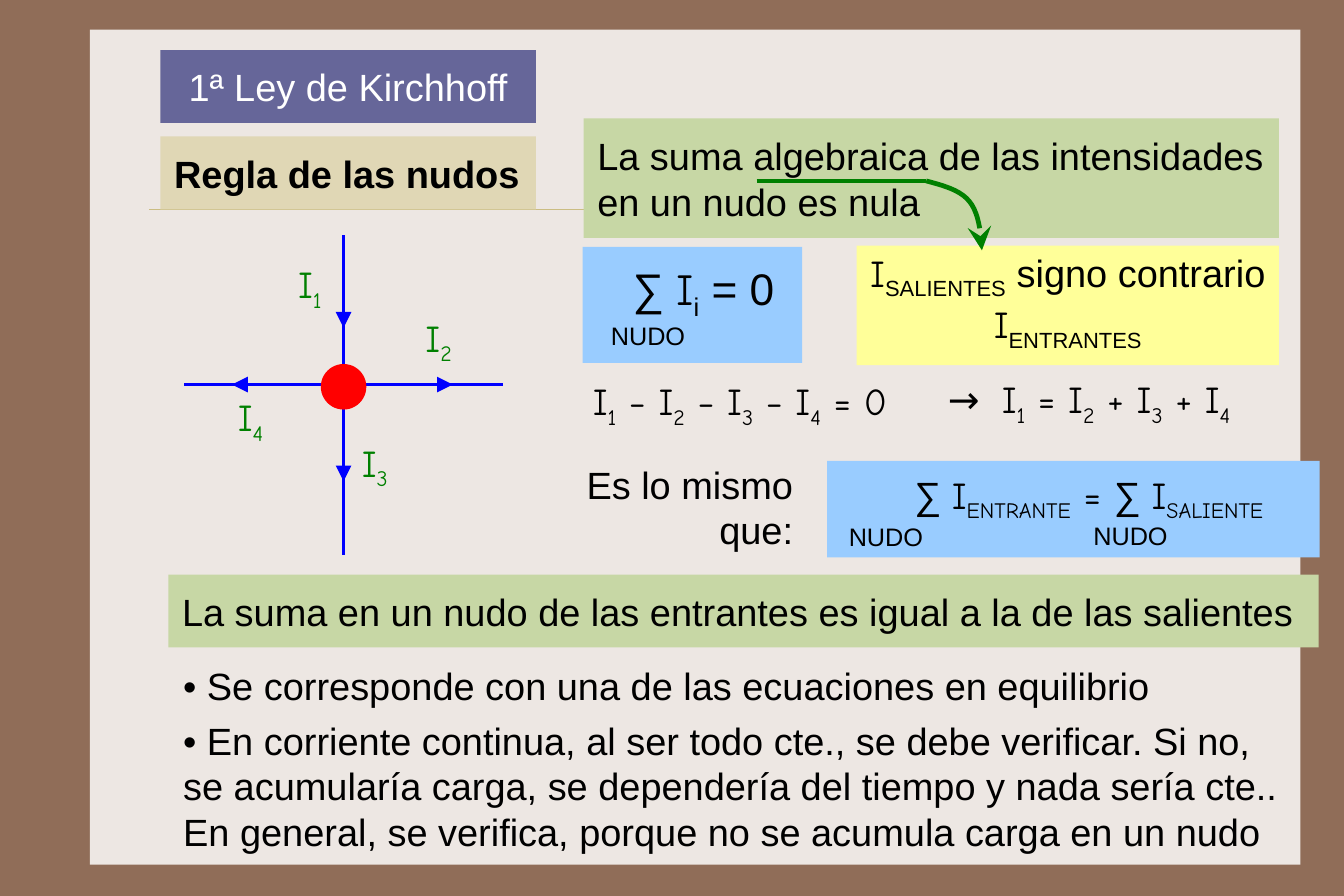
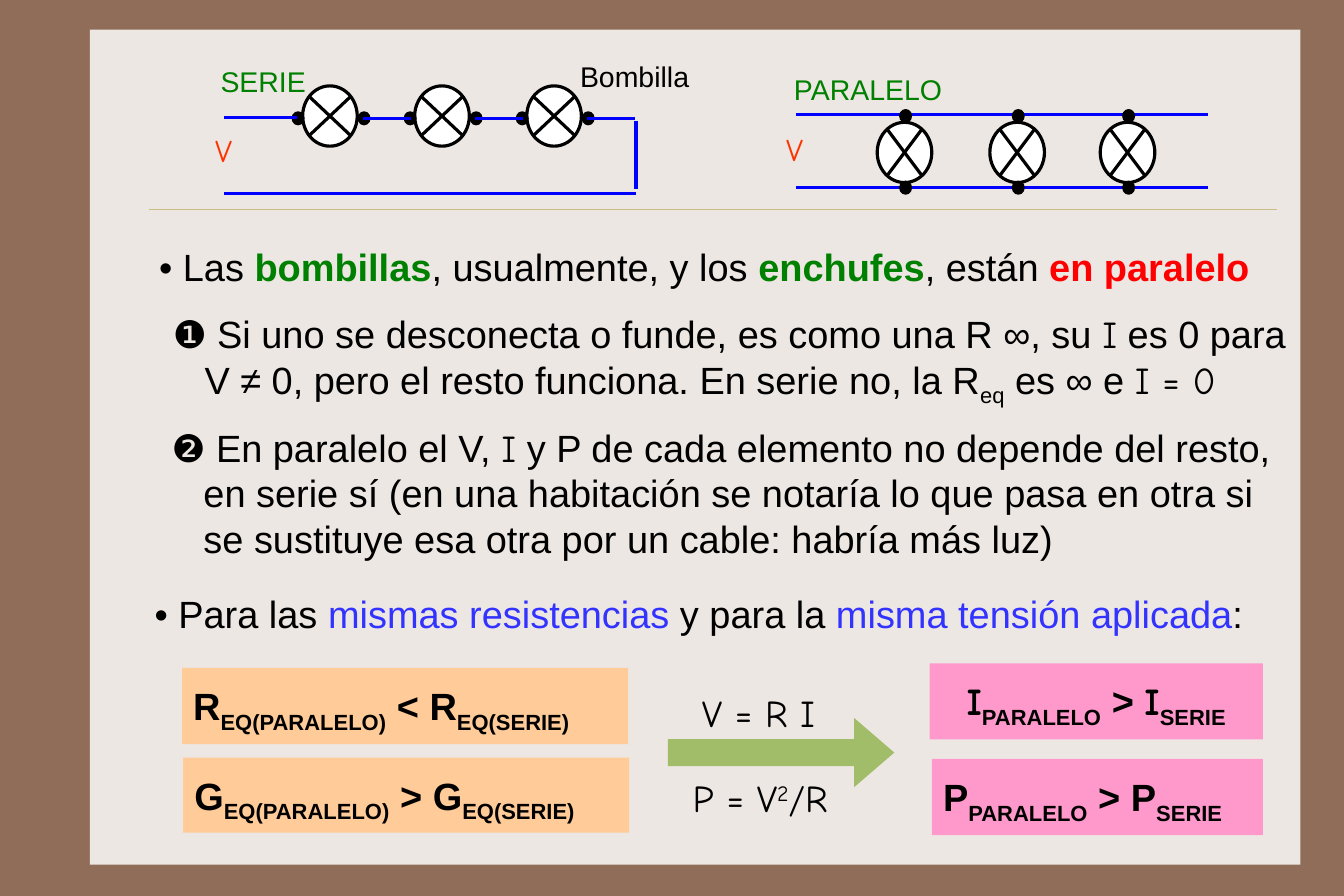
from dataclasses import dataclass
from typing import NamedTuple

from lxml.etree import SubElement
from pptx import Presentation
from pptx.dml.color import RGBColor
from pptx.enum.shapes import MSO_CONNECTOR, MSO_SHAPE
from pptx.enum.text import MSO_ANCHOR as Anchor, PP_ALIGN as Align
from pptx.oxml.ns import qn
from pptx.util import Inches, Pt

BROWN = RGBColor(0x90, 0x6D, 0x58)
PAPER = RGBColor(0xED, 0xE7, 0xE3)
RULE = RGBColor(0xCB, 0xBD, 0x83)
SAND = RGBColor(0xE0, 0xD7, 0xB5)
PURPLE = RGBColor(0x66, 0x66, 0x99)
SAGE = RGBColor(0xC7, 0xD7, 0xA5)
LEAF = RGBColor(0xA1, 0xBD, 0x69)
YELLOW = RGBColor(0xFF, 0xFF, 0x99)
SKY = RGBColor(0x99, 0xCC, 0xFF)
PEACH = RGBColor(0xFF, 0xCC, 0x99)
PINK = RGBColor(0xFF, 0x99, 0xCC)
GREEN = RGBColor(0x00, 0x80, 0x00)
RED = RGBColor(0xFF, 0x00, 0x00)
ORANGE = RGBColor(0xFF, 0x33, 0x00)
BLUE = RGBColor(0x00, 0x00, 0xFF)
INDIGO = RGBColor(0x33, 0x33, 0xFF)
BLACK = RGBColor(0x00, 0x00, 0x00)
WHITE = RGBColor(0xFF, 0xFF, 0xFF)

SLIDE_WIDTH, SLIDE_HEIGHT = Inches(189 / 16), Inches(63 / 8)
SANS = "Arial"
COMIC = "Comic Neue"
SUB, SUPER = -25, 30
LAW_INSETS = (0.12, 0.12, 0.12, 0.12)
NOTE_INSETS = (0.1, 0.09, 0.1, 0.09)
RATIO_INSETS = (0.1, 0.13, 0.1, 0.13)
VOLT_INSETS = (0.08, 0.04, 0.08, 0.04)


class Run(NamedTuple):
    text: str
    color: RGBColor = BLACK
    font: str = SANS
    bold: bool = False
    base: int = 0
    spacing: int = 0


@dataclass
class Box:
    left: float
    top: float
    width: float
    height: float
    runs: list[Run]
    fill: RGBColor | None = None
    size: int = 24
    align: Align = Align.LEFT
    wrap: bool = True
    insets: tuple[float, float, float, float] = LAW_INSETS
    anchor: Anchor = Anchor.MIDDLE
    hanging: float = 0


class Current(NamedTuple):
    """A branch of the node: direction, arrow distances and label corner."""
    number: str
    dx: int
    dy: int
    start: float
    end: float
    label_left: float
    label_top: float


def symbols(*parts: str, color: RGBColor = BLACK) -> list[Run]:
    """Comic runs, with every second one as a subscript."""
    return [Run(part, color, COMIC, base=SUB * (i % 2)) for i, part in enumerate(parts)]


def bold_ratio(*parts: str) -> list[Run]:
    """Bold runs with the long ones as subscripts; a current I is comic."""
    return [Run(part, font=COMIC if part == "I" else SANS, bold=True,
                base=SUB if len(part) > 4 else 0) for part in parts]


def add_preset(slide, kind, left, top, width, height, fill, outline=None, weight=1):
    shape = slide.shapes.add_shape(
        kind, Inches(left), Inches(top), Inches(width), Inches(height))
    shape.shadow.inherit = False
    shape.fill.solid()
    shape.fill.fore_color.rgb = fill
    if outline is None:
        shape.line.fill.background()
    else:
        shape.line.color.rgb = outline
        shape.line.width = Pt(weight)
    return shape


def add_arrowhead(shape, kind: str) -> None:
    SubElement(shape.element.spPr.find(qn("a:ln")), qn("a:tailEnd"),
               type=kind, w="lg", len="lg")


def add_line(slide, x1: float, y1: float, x2: float, y2: float,
             color: RGBColor = BLUE, weight: float = 2, head: str = "") -> None:
    line = slide.shapes.add_connector(
        MSO_CONNECTOR.STRAIGHT, Inches(x1), Inches(y1), Inches(x2), Inches(y2))
    line.line.color.rgb = color
    line.line.width = Pt(weight)
    if head:
        add_arrowhead(line, head)
    SubElement(line.element.spPr, qn("a:effectLst"))


def add_box(slide, box: Box) -> None:
    place = (box.left, box.top, box.width, box.height)
    if box.fill is None:
        shape = slide.shapes.add_textbox(*map(Inches, place))
    else:
        shape = add_preset(slide, MSO_SHAPE.RECTANGLE, *place, box.fill)
    frame = shape.text_frame
    left, top, right, bottom = map(Inches, box.insets)
    frame_format = {"word_wrap": box.wrap, "vertical_anchor": box.anchor,
                    "margin_left": left, "margin_top": top,
                    "margin_right": right, "margin_bottom": bottom}
    for name, value in frame_format.items():
        setattr(frame, name, value)
    paragraph = frame.paragraphs[0]
    paragraph.alignment = box.align
    if box.hanging:
        properties = paragraph._p.get_or_add_pPr()
        properties.set("marL", str(Inches(box.hanging)))
        properties.set("indent", str(-Inches(box.hanging)))
    for part in box.runs:
        run = paragraph.add_run()
        run.text = part.text
        font_format = {"name": part.font, "size": Pt(box.size), "bold": part.bold}
        for name, value in font_format.items():
            setattr(run.font, name, value)
        run.font.color.rgb = part.color
        for name, value in {"baseline": part.base * 1000, "spc": part.spacing * 100}.items():
            if value:
                run._r.get_or_add_rPr().set(name, str(value))


def add_framed_slide(deck):
    slide = deck.slides.add_slide(deck.slide_layouts[6])
    slide.background.fill.solid()
    slide.background.fill.fore_color.rgb = BROWN
    add_preset(slide, MSO_SHAPE.RECTANGLE, 0.79, 0.26, 10.64, 7.34, PAPER)
    add_line(slide, 1.31, 1.84, 11.22, 1.84, RULE, 0.25)
    return slide


def bezier(p0, p1, p2, p3, steps: int = 10) -> list[tuple[int, int]]:
    """Points along a cubic curve, without its first one."""
    points = []
    for step in range(1, steps + 1):
        t = step / steps
        weights = ((1 - t) ** 3, 3 * t * (1 - t) ** 2, 3 * t * t * (1 - t), t ** 3)
        x, y = (sum(w * c for w, c in zip(weights, axis)) for axis in zip(p0, p1, p2, p3))
        points.append((Inches(x), Inches(y)))
    return points


def add_sign_arrow(slide) -> None:
    """Underlines "algebraica" and points to the sign rule."""
    start, middle, tip = (8.14, 1.59), (8.52, 1.77), (8.63, 2.2)
    add_line(slide, 6.65, 1.59, *start, GREEN, 3)
    builder = slide.shapes.build_freeform(*map(Inches, start))
    builder.add_line_segments(
        bezier(start, (8.29, 1.63), (8.44, 1.67), middle)
        + bezier(middle, (8.6, 1.87), (8.62, 2.03), tip), close=False)
    curve = builder.convert_to_shape()
    curve.shadow.inherit = False
    curve.fill.background()
    curve.line.color.rgb = GREEN
    curve.line.width = Pt(3)
    add_arrowhead(curve, "stealth")


def add_node(slide) -> None:
    x, y, reach, radius = 3.02, 3.38, 1.4, 0.2
    add_line(slide, x - reach, y, x + reach, y)
    add_line(slide, x, y - 1.31, x, y + 1.5)
    add_preset(slide, MSO_SHAPE.OVAL, x - radius, 3.2, 2 * radius, 2 * radius, RED)
    currents = [
        Current("1", 0, -1, 0.82, 0.5, 2.5, 2.2),
        Current("2", 1, 0, 0.64, 0.96, 3.62, 2.67),
        Current("3", 0, 1, 0.52, 0.85, 3.06, 3.77),
        Current("4", -1, 0, 0.66, 0.98, 1.97, 3.37),
    ]
    for c in currents:
        add_line(slide, x + c.dx * c.start, y + c.dy * c.start,
                 x + c.dx * c.end, y + c.dy * c.end, weight=1, head="triangle")
        add_box(slide, Box(c.label_left, c.label_top, 0.56, 0.64,
                           symbols("I", c.number, color=GREEN), wrap=False))


def add_bulb(slide, x: float, y: float, cross_x: float, cross_y: float,
             terminals: list[tuple[float, float]]) -> None:
    """A crossed lamp with its terminals, given as offsets from its centre."""
    add_preset(slide, MSO_SHAPE.OVAL, x - 0.24, y - 0.265, 0.48, 0.53, WHITE, BLACK, 2)
    for side in (1, -1):
        add_line(slide, x - cross_x, y - side * cross_y,
                 x + cross_x, y + side * cross_y, BLACK)
    for dx, dy in terminals:
        add_preset(slide, MSO_SHAPE.OVAL, x + dx - 0.05, y + dy - 0.055,
                   0.1, 0.11, BLACK, BLACK)


def add_parallel_circuit(slide) -> None:
    for y in (1.01, 1.65):
        add_line(slide, 7, y, 10.62, y)
    for x in (7.95, 8.94, 9.91):
        add_bulb(slide, x, 1.34, 0.15, 0.2, [(0.01, -0.32), (0.01, 0.31)])


def add_series_circuit(slide) -> None:
    first, pitch = 2.9, 0.985
    for i in range(3):
        add_bulb(slide, first + i * pitch, 1.02, 0.18, 0.17, [(0.3, 0.02), (-0.28, 0.02)])
    for i in range(3):
        left = first + 0.29 + i * pitch
        add_line(slide, left, 1.04, left + 0.42, 1.04)
    add_line(slide, 1.97, 1.03, 2.61, 1.03)
    add_line(slide, 5.59, 1.06, 5.59, 1.66)
    add_line(slide, 1.97, 1.7, 5.59, 1.7)


def build_law_slide(deck) -> None:
    slide = add_framed_slide(deck)
    for box in [
        Box(1.41, 1.2, 3.3, 0.64, [Run("Regla de las nudos", bold=True)], SAND, wrap=False),
        Box(1.41, 0.44, 3.3, 0.64, [Run("1ª Ley de Kirchhoff", WHITE)], PURPLE,
            align=Align.CENTER),
        Box(5.13, 1.04, 6.11, 1.05,
            [Run("La suma algebraica de las intensidades en un nudo es nula")], SAGE),
        Box(7.53, 2.16, 3.71, 1.05,
            [Run("I", font=COMIC), Run("SALIENTES", base=SUB), Run(" signo contrario "),
             Run("I", font=COMIC), Run("ENTRANTES", base=SUB)],
            YELLOW, align=Align.CENTER, insets=(0.08, 0.08, 0.08, 0.16)),
        Box(5.09, 3.23, 3.22, 0.64,
            symbols("I", "1", " − I", "2", " − I", "3", " − I", "4", " = 0"), wrap=False),
        Box(8.21, 3.21, 3.11, 0.64,
            [Run("→ ", font=COMIC, spacing=3),
             *symbols("I", "1", " = I", "2", " + I", "3", " + I", "4")], wrap=False),
        Box(4.85, 3.93, 2.42, 1.05, [Run("Es lo mismo que:")], align=Align.RIGHT,
            insets=(0.12, 0.12, 0.3, 0.12)),
        Box(1.46, 6.18, 9.91, 1.45, [Run(
            "• En corriente continua, al ser todo cte., se debe verificar. Si no, "
            "se acumularía carga, se dependería del tiempo y nada sería cte.. "
            "En general, se verifica, porque no se acumula carga en un nudo")],
            insets=(0.15, 0.12, 0.08, 0.12)),
        Box(1.49, 5.7, 9.9, 0.64,
            [Run("• Se corresponde con una de las ecuaciones en equilibrio")]),
        Box(1.48, 5.05, 10.11, 0.64,
            [Run("La suma en un nudo de las entrantes es igual a la de las salientes")],
            SAGE, wrap=False),
    ]:
        add_box(slide, box)
    add_node(slide)
    add_sign_arrow(slide)
    for panel in [(5.12, 2.17, 1.93, 1.02), (7.27, 4.05, 4.33, 0.85)]:
        add_preset(slide, MSO_SHAPE.RECTANGLE, *panel, SKY)
    add_box(slide, Box(5.44, 2.21, 1.57, 0.71,
                       [Run("∑ "), Run("I", font=COMIC), Run("i", base=SUB), Run(" = 0")],
                       size=28, wrap=False))
    add_box(slide, Box(7.53, 4.05, 4.08, 0.64,
                       [Run("∑ "), *symbols("I", "ENTRANTE", " = "),
                        Run("∑ "), *symbols("I", "SALIENTE")], align=Align.CENTER))
    for left, top in [(5.25, 2.69), (7.34, 4.46), (9.49, 4.45)]:
        add_box(slide, Box(left, top, 0.9, 0.51, [Run("NUDO")], size=16, wrap=False))


def build_circuits_slide(deck) -> None:
    slide = add_framed_slide(deck)
    notes = {"insets": NOTE_INSETS, "anchor": Anchor.TOP}
    labels = notes | {"wrap": False}
    ratios = notes | {"insets": RATIO_INSETS}
    volts = labels | {"insets": VOLT_INSETS, "size": 20}
    current = Run("I", font=COMIC)
    add_parallel_circuit(slide)
    add_series_circuit(slide)
    flow = add_preset(slide, MSO_SHAPE.RIGHT_ARROW, 5.87, 6.31, 1.99, 0.61, LEAF)
    flow.adjustments[0], flow.adjustments[1] = 0.39, 0.58
    for box in [
        Box(1.26, 5.1, 9.99, 0.59,
            [Run("• Para las "), Run("mismas resistencias ", INDIGO), Run("y para la "),
             Run("misma tensión aplicada", INDIGO), Run(":")], **labels),
        Box(1.3, 2.05, 9.9, 0.59,
            [Run("• Las "), Run("bombillas", GREEN, bold=True),
             Run(", usualmente, y los "), Run("enchufes", GREEN, bold=True),
             Run(", están "), Run("en paralelo", RED, bold=True)], **notes),
        Box(1.42, 2.64, 10.11, 0.99,
            [Run("❶ Si uno se desconecta o funde, es como una R ∞, su "), current,
             Run(" es 0 para V ≠ 0, pero el resto funciona. En serie no, la R"),
             Run("eq", base=SUB), Run(" es ∞ e "), *symbols("I = 0")],
            hanging=0.28, **notes),
        Box(1.41, 3.64, 9.99, 1.39,
            [Run("❷ En paralelo el V, "), current,
             Run(" y P de cada elemento no depende del resto, en serie sí (en una "
                 "habitación se notaría lo que pasa en otra si se sustituye esa otra "
                 "por un cable: habría más luz)")], hanging=0.28, **notes),
        Box(1.6, 5.87, 3.92, 0.67,
            bold_ratio("R", "EQ(PARALELO)", " < R", "EQ(SERIE)"), PEACH, **ratios),
        Box(1.61, 6.66, 3.92, 0.66,
            bold_ratio("G", "EQ(PARALELO)", " > G", "EQ(SERIE)"), PEACH, **ratios),
        Box(8.19, 6.67, 2.91, 0.67,
            bold_ratio("P", "PARALELO", " > P", "SERIE"), PINK, **ratios),
        Box(8.17, 5.83, 2.93, 0.67,
            bold_ratio("I", "PARALELO", " > ", "I", "SERIE"), PINK,
            align=Align.CENTER, **ratios),
        Box(6.07, 5.97, 1.29, 0.59, symbols("V = R I"), **labels),
        Box(5.99, 6.72, 1.49, 0.59,
            [Run("P = V", font=COMIC), Run("2", font=COMIC, base=SUPER),
             Run("/R", font=COMIC)], **labels),
        Box(6.83, 1.1, 0.35, 0.42, symbols("V", color=ORANGE), **volts),
        Box(1.81, 1.11, 0.35, 0.42, symbols("V", color=ORANGE), **volts),
        Box(1.84, 0.47, 0.96, 0.49, [Run("SERIE", GREEN)], size=18, **labels),
        Box(6.88, 0.54, 1.51, 0.49, [Run("PARALELO", GREEN)], size=18, **labels),
        Box(5, 0.43, 1.17, 0.49, [Run("Bombilla")], size=18, **labels),
    ]:
        add_box(slide, box)


def main() -> None:
    deck = Presentation()
    deck.slide_width, deck.slide_height = SLIDE_WIDTH, SLIDE_HEIGHT
    build_law_slide(deck)
    build_circuits_slide(deck)
    deck.save("out.pptx")


if __name__ == "__main__":
    main()
